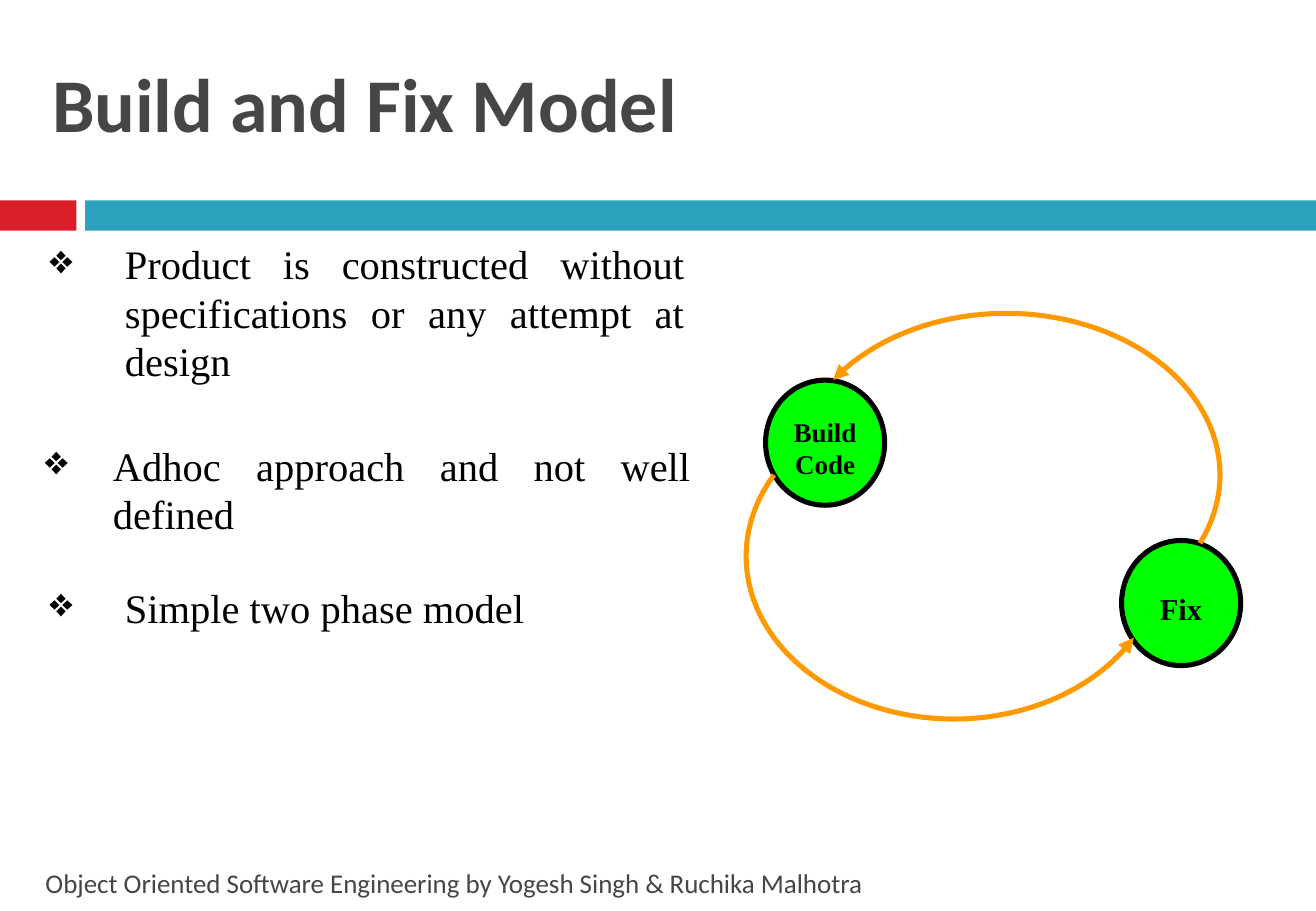
"""Builds the slide on the build and fix model."""
from dataclasses import dataclass
from math import cos, radians, sin

from lxml.etree import SubElement as Sub
from pptx import Presentation
from pptx.dml.color import RGBColor
from pptx.enum.shapes import MSO_SHAPE as Kind
from pptx.enum.text import MSO_ANCHOR as Anchor, PP_ALIGN as Align
from pptx.oxml.ns import qn
from pptx.util import Pt

PX = 9144
STEPS = 60
RED = RGBColor(0xDA, 0x1F, 0x28)
TEAL = RGBColor(0x2D, 0xA2, 0xBF)
GREY = RGBColor(0x46, 0x46, 0x46)
BLACK = RGBColor(0, 0, 0)
GREEN = RGBColor(0, 0xFF, 0)
ORANGE = RGBColor(0xFF, 0x99, 0)
SERIF = "Times New Roman"
SANS = "Calibri"


@dataclass
class Bar:
    left: int
    width: int
    fill: RGBColor


@dataclass
class Label:
    text: str
    box: tuple[int, int, int, int]
    size: int
    font: str = SERIF
    color: RGBColor = BLACK
    bold: bool = False
    align: Align = Align.LEFT
    anchor: Anchor = Anchor.TOP
    indent: int = 0


@dataclass
class Node:
    lines: list[str]
    left: int
    top: int
    size: int
    inset: int


@dataclass
class Arc:
    x: int
    y: int
    wide: int
    high: int
    start: int
    end: int


BARS = [Bar(0, 63, RED), Bar(70, 1013, TEAL)]
LABELS = [
    Label("Build and Fix Model", (33, 42, 1011, 85), 45, SANS, GREY, True),
    Label("Product is constructed without specifications or any attempt at design",
          (31, 192, 542, 130), 24, align=Align.JUSTIFY, indent=62),
    Label("Adhoc approach and not well defined",
          (27, 358, 551, 90), 24, align=Align.JUSTIFY, indent=56),
    Label("Simple two phase model", (31, 475, 551, 50), 24, indent=62),
    Label("Object Oriented Software Engineering by Yogesh Singh & Ruchika Malhotra",
          (10, 703, 710, 47), 16, SANS, GREY,
          align=Align.RIGHT, anchor=Anchor.MIDDLE),
]
NODES = [
    Node(["Fix"], 923, 445, 18, 26),
    Node(["Build", "Code"], 630, 313, 16, 14),
]
ARCS = [Arc(785, 458, 171, 134, 30, 210), Arc(828, 391, 176, 133, 216, 385)]


def scale(*sizes: int) -> list[int]:
    """Turn px into EMU."""
    return [size * PX for size in sizes]


def write(para, text: str, size: int, font: str, color: RGBColor, bold: bool) -> None:
    """Add one styled run."""
    run = para.add_run()
    run.text = text
    run.font.name = font
    run.font.size = Pt(size)
    run.font.bold = bold
    run.font.color.rgb = color


def draw_bar(shapes, bar: Bar) -> None:
    """Draw one part of the band under the title."""
    shape = shapes.add_shape(Kind.RECTANGLE, *scale(bar.left, 165, bar.width, 25))
    shape.shadow.inherit = False
    shape.fill.solid()
    shape.fill.fore_color.rgb = bar.fill
    shape.line.fill.background()


def draw_label(shapes, label: Label) -> None:
    """Draw one text box, bulleted when it has an indent."""
    frame = shapes.add_textbox(*scale(*label.box)).text_frame
    frame.word_wrap = True
    frame.vertical_anchor = label.anchor
    para = frame.paragraphs[0]
    para.alignment = label.align
    if label.indent:
        props = para._p.get_or_add_pPr()
        props.set("marL", str(label.indent * PX))
        props.set("indent", str(-label.indent * PX))
        Sub(props, qn("a:buChar"), char="❖")
    write(para, label.text, label.size, label.font, label.color, label.bold)


def draw_node(shapes, node: Node) -> None:
    """Draw one phase as a circle."""
    shape = shapes.add_shape(Kind.OVAL, *scale(node.left, node.top, 98, 103))
    shape.shadow.inherit = False
    shape.fill.solid()
    shape.fill.fore_color.rgb = GREEN
    shape.line.color.rgb = BLACK
    shape.line.width = Pt(3)
    frame = shape.text_frame
    frame.vertical_anchor = Anchor.TOP
    frame.margin_left = frame.margin_right = frame.margin_bottom = 0
    frame.margin_top = node.inset * PX
    for i, line in enumerate(node.lines):
        para = frame.add_paragraph() if i else frame.paragraphs[0]
        para.alignment = Align.CENTER
        write(para, line, node.size, SERIF, BLACK, True)


def draw_arc(shapes, arc: Arc) -> None:
    """Draw an open elliptic curve with an arrowhead at its start."""
    turns = [radians(arc.start + (arc.end - arc.start) * i / STEPS)
             for i in range(STEPS + 1)]
    points = [(round((arc.x + arc.wide * cos(turn)) * PX),
               round((arc.y + arc.high * sin(turn)) * PX)) for turn in turns]
    path = shapes.build_freeform(*points[0])
    path.add_line_segments(points[1:], close=False)
    shape = path.convert_to_shape()
    shape.shadow.inherit = False
    shape.fill.background()
    shape.line.color.rgb = ORANGE
    shape.line.width = Pt(3)
    Sub(shape.line._get_or_add_ln(), qn("a:headEnd"), type="triangle")


def main() -> None:
    """Build and save the slide."""
    deck = Presentation()
    deck.slide_width, deck.slide_height = scale(1083, 750)
    shapes = deck.slides.add_slide(deck.slide_layouts[6]).shapes
    for bar in BARS:
        draw_bar(shapes, bar)
    for label in LABELS:
        draw_label(shapes, label)
    for node in NODES:
        draw_node(shapes, node)
    for arc in ARCS:
        draw_arc(shapes, arc)
    deck.save("out.pptx")


if __name__ == "__main__":
    main()
